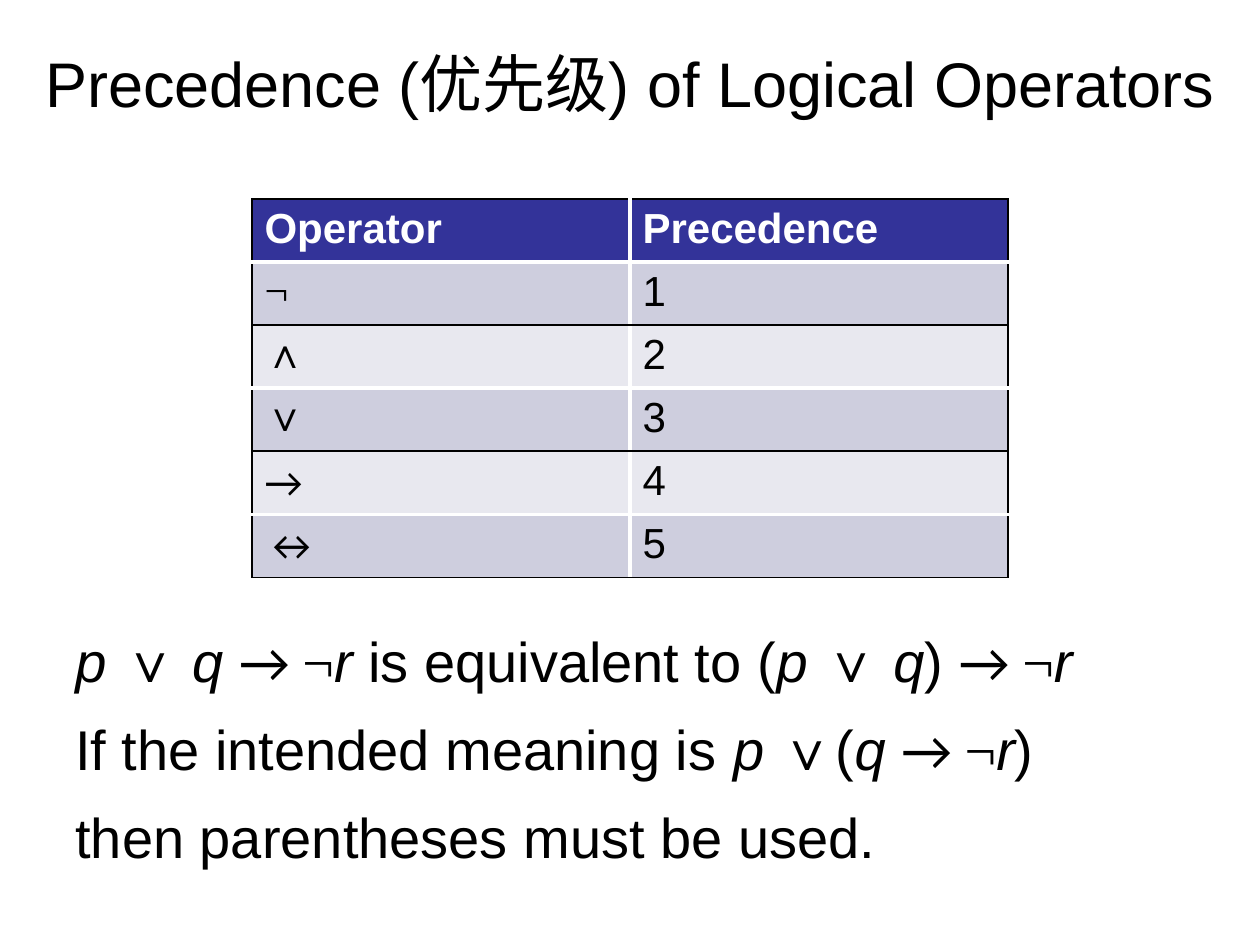
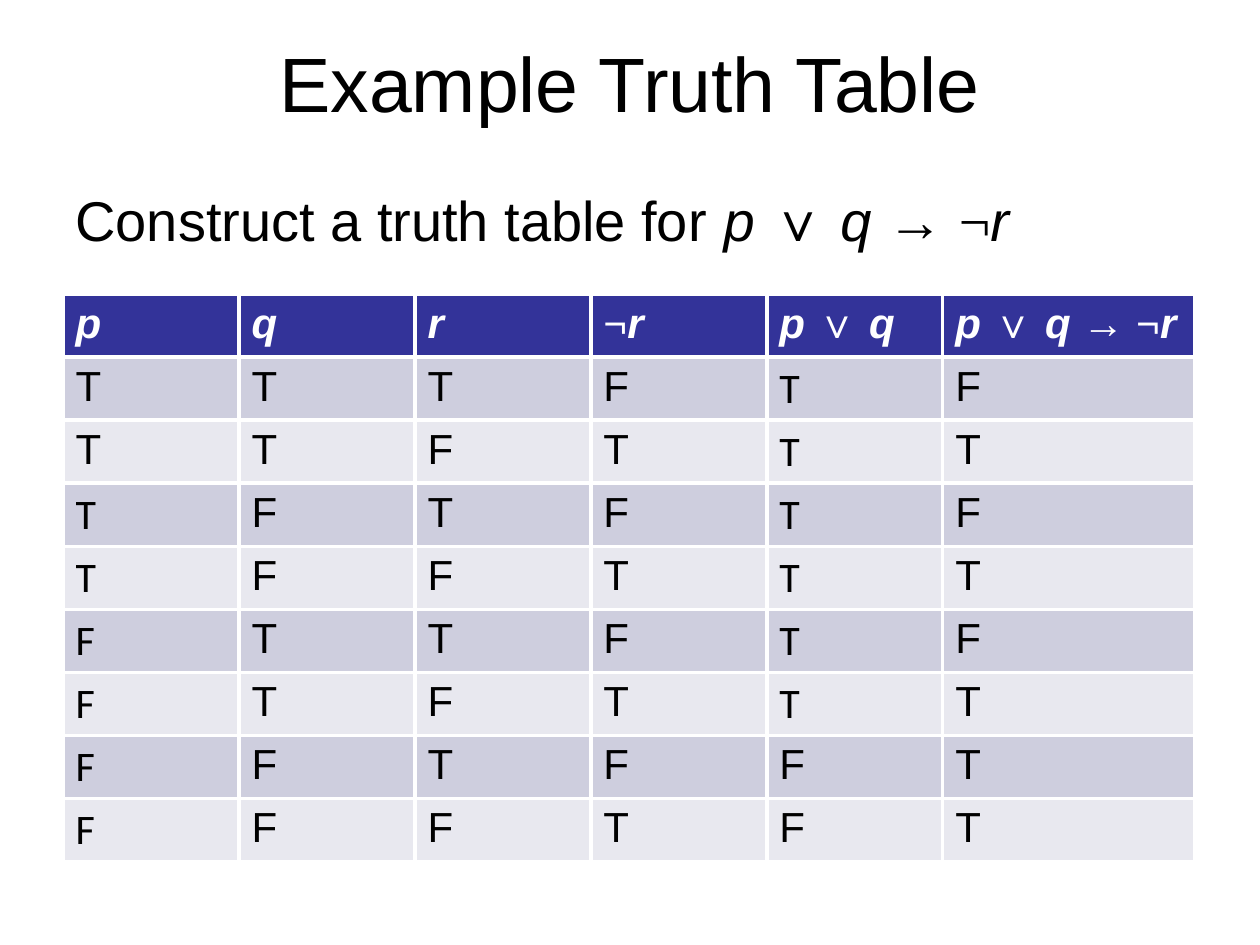
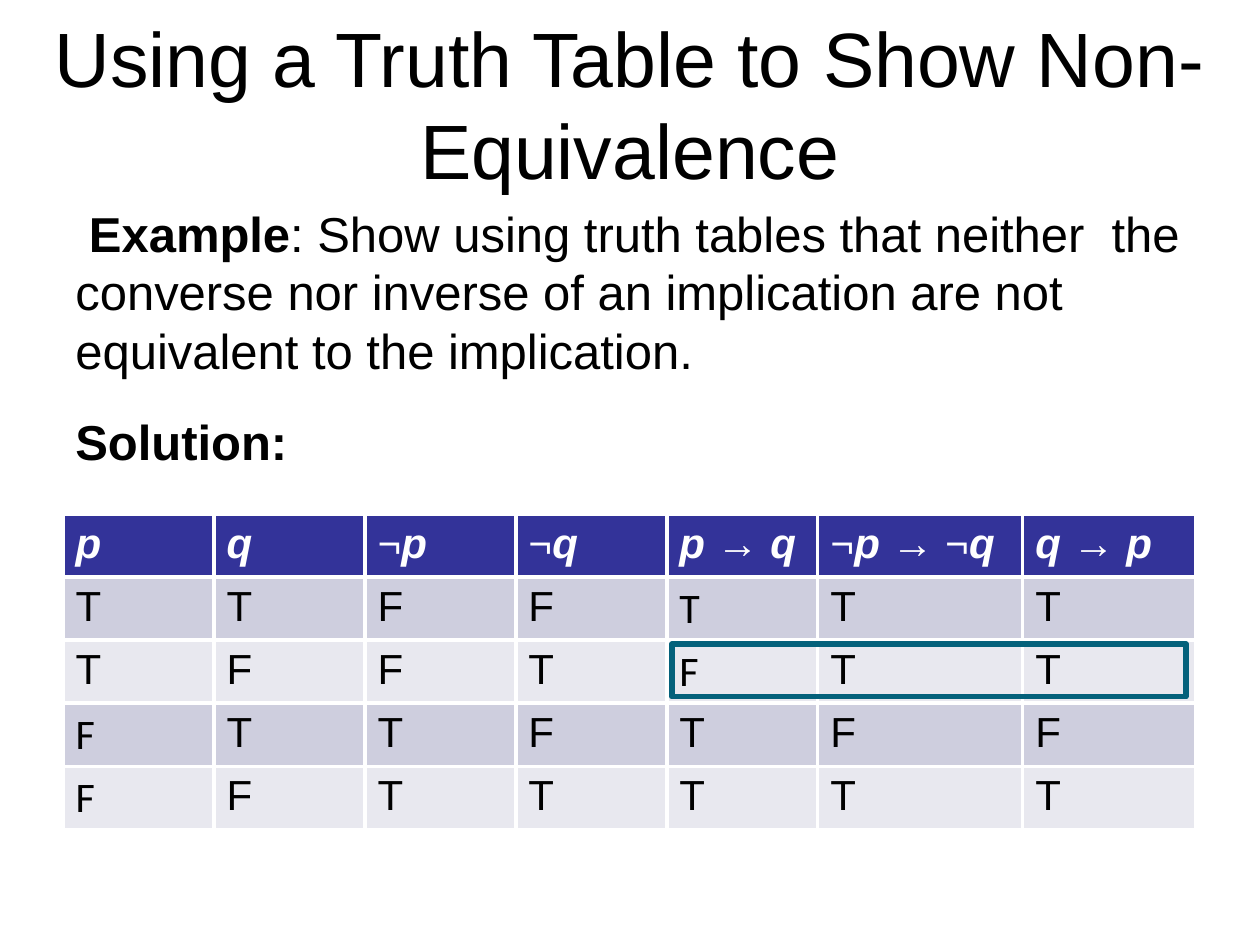
from dataclasses import dataclass
from itertools import accumulate, groupby

from lxml import etree
from pptx import Presentation
from pptx.dml.color import RGBColor
from pptx.enum.shapes import MSO_SHAPE
from pptx.enum.text import MSO_ANCHOR, PP_ALIGN
from pptx.oxml.ns import qn
from pptx.util import Pt

RECTANGLE, MIDDLE, CENTER = MSO_SHAPE.RECTANGLE, MSO_ANCHOR.MIDDLE, PP_ALIGN.CENTER
PX_PER_INCH = 126
SLIDE_W, SLIDE_H = 1260, 945
ROW_H = 63


@dataclass(frozen=True)
class Theme:
    text: str = "000000"
    inverse: str = "FFFFFF"
    header: str = "333399"
    bands: tuple = ("CECEDE", "E8E8EF")
    highlight: str = "04617B"
    main: str = "Arial"
    symbol: str = "Times New Roman"
    light: str = "Calibri"
    title_size: int = 44
    long_title_size: int = 36
    body_size: int = 32
    example_size: int = 28
    table_size: int = 24
    thin: float = 1
    thick: float = 2.25
    highlight_line: float = 3


THEME = Theme()


# Runs are (text, font, bold, italic)
def plain(text, font=THEME.main, bold=False):
    return [(text, font, bold, False)]


def formula(text, arrow_font=THEME.main, bold=False):
    """Italic variables, symbols in their own font; a space follows the sign before it."""
    styles, style = [], (THEME.main, False)
    for sign in text:
        if sign in "pqr":
            style = (THEME.main, True)
        elif sign in "¬∧∨":
            style = (THEME.symbol, False)
        elif sign in "→↔":
            style = (arrow_font, False)
        elif sign != " ":
            style = (THEME.main, False)
        styles.append((sign, style))
    return [("".join(sign for sign, _ in group), font, bold, italic)
            for (font, italic), group in groupby(styles, key=lambda pair: pair[1])]


def light_formula(text):
    return formula(text, THEME.light)


# Content
OPERATORS = ["¬", "∧", "∨", "→", "↔"]
PRECEDENCE_NOTES = [
    light_formula("p ∨ q → ¬r ") + plain("is equivalent to ")
    + light_formula("(p ∨ q) → ¬r"),
    plain("If the intended meaning is ") + light_formula("p ∨(q → ¬r)"),
    plain("then parentheses must be used."),
]
TASK = [plain("Construct a truth table for ") + formula("p ∨ q → ¬r")]
EXAMPLE = [
    plain(" Example", bold=True)
    + plain(": Show using truth tables that neither  the converse nor inverse "
            "of an implication are not equivalent to the implication."),
    plain("Solution:", bold=True),
]

# Truth tables; "light" gives, per column, the rows set in the light font
TRUTH_TABLE = {
    "heads": ["p", "q", "r", "¬r", "p ∨ q", "p ∨ q → ¬r"],
    "rows": ["TTTFTF", "TTFTTT", "TFTFTF", "TFFTTT",
             "FTTFTF", "FTFTTT", "FFTFFT", "FFFTFT"],
    "light": {0: range(2, 8), 4: range(0, 6)},
    "widths": [176] * 5 + [252],
}
IMPLICATION_TABLE = {
    "heads": ["p", "q", "¬p", "¬q", "p → q", "¬p → ¬q", "q → p"],
    "rows": ["TTFFTTT", "TFFTFTT", "FTTFTFF", "FFTTTTT"],
    "light": {0: range(2, 4), 4: range(0, 2)},
    "widths": [151] * 5 + [205, 173],
}


# Drawing helpers
def px(length):
    return round(length * 914400 / PX_PER_INCH)


def box(*lengths):
    return [px(length) for length in lengths]


def add_runs(paragraph, runs, size, color=THEME.text):
    for text, font, bold, italic in runs:
        run = paragraph.add_run()
        run.text = text
        run.font.name, run.font.size = font, Pt(size)
        run.font.bold, run.font.italic = bold, italic
        run.font.color.rgb = RGBColor.from_string(color)


def add_title(slide, text, size=THEME.title_size, top=0):
    frame = slide.shapes.add_textbox(*box(0, top, SLIDE_W, 164)).text_frame
    frame.word_wrap, frame.vertical_anchor = True, MIDDLE
    frame.paragraphs[0].alignment = CENTER
    add_runs(frame.paragraphs[0], plain(text), size)


def add_body(slide, paragraphs, place, size, before):
    frame = slide.shapes.add_textbox(*box(*place)).text_frame
    frame.word_wrap = True
    for index, runs in enumerate(paragraphs):
        paragraph = frame.add_paragraph() if index else frame.paragraphs[0]
        paragraph.space_before, paragraph.space_after = Pt(before), Pt(6)
        add_runs(paragraph, runs, size)


def set_border(cell, side, color, width):
    line = etree.Element(qn(f"a:{side}"), w=str(Pt(width)))
    fill = etree.SubElement(line, qn("a:solidFill"))
    etree.SubElement(fill, qn("a:srgbClr"), val=color)
    return line


def style_cell(cell, row, col, framed):
    # In a framed table every second grid edge is a thin dark rule
    properties = cell._tc.get_or_add_tcPr()
    for side, edge in (("lnL", col), ("lnR", col + 1), ("lnT", row), ("lnB", row + 1)):
        dark = framed and edge % 2 == 0
        color, width = (THEME.text, THEME.thin) if dark else (THEME.inverse, THEME.thick)
        properties.append(set_border(cell, side, color, width))
    cell.fill.solid()
    color = THEME.bands[(row - 1) % 2] if row else THEME.header
    cell.fill.fore_color.rgb = RGBColor.from_string(color)


def add_grid(slide, left, top, widths, rows, framed=False):
    place = box(left, top, sum(widths), ROW_H * len(rows))
    table = slide.shapes.add_table(len(rows), len(widths), *place).table
    for column, width in zip(table.columns, widths):
        column.width = px(width)
    for r, cells in enumerate(rows):
        for c, runs in enumerate(cells):
            cell = table.cell(r, c)
            style_cell(cell, r, c, framed)
            add_runs(cell.text_frame.paragraphs[0], runs, THEME.table_size,
                     THEME.text if r else THEME.inverse)


def add_truth_table(slide, top, data):
    rows = [[formula(head, bold=True) for head in data["heads"]]]
    for r, values in enumerate(data["rows"]):
        rows.append([plain(value, THEME.light if r in data["light"].get(c, ()) else THEME.main)
                     for c, value in enumerate(values)])
    add_grid(slide, 63, top, data["widths"], rows)


# Slides
def precedence_slide(slide):
    add_title(slide, "Precedence (优先级) of Logical Operators", THEME.long_title_size)
    rows = [[plain(head, bold=True) for head in ("Operator", "Precedence")]]
    rows += [[light_formula(sign), plain(str(rank))]
             for rank, sign in enumerate(OPERATORS, 1)]
    add_grid(slide, 252, 199, [378, 378], rows, framed=True)
    add_body(slide, PRECEDENCE_NOTES, (63, 620, 1033, 252), THEME.body_size, before=6)


def truth_table_slide(slide):
    add_title(slide, "Example Truth Table")
    add_body(slide, TASK, (63, 179, 1147, 725), THEME.body_size, before=12)
    add_truth_table(slide, 294, TRUTH_TABLE)


def non_equivalence_slide(slide):
    add_title(slide, "Using a Truth Table to Show Non-Equivalence", top=21)
    add_body(slide, EXAMPLE, (63, 197, 1147, 315), THEME.example_size, before=12)
    add_truth_table(slide, 514, IMPLICATION_TABLE)

    # Frame around the row that differs, from the implication column on
    column_lefts = list(accumulate(IMPLICATION_TABLE["widths"], initial=63))
    frame = slide.shapes.add_shape(RECTANGLE, *box(column_lefts[4] + 5, 644, 514, 53))
    frame.shadow.inherit = False
    frame.fill.background()
    frame.line.color.rgb = RGBColor.from_string(THEME.highlight)
    frame.line.width = Pt(THEME.highlight_line)


def main():
    deck = Presentation()
    deck.slide_width, deck.slide_height = box(SLIDE_W, SLIDE_H)
    for build in (precedence_slide, truth_table_slide, non_equivalence_slide):
        build(deck.slides.add_slide(deck.slide_layouts[6]))
    deck.save("out.pptx")


if __name__ == "__main__":
    main()
